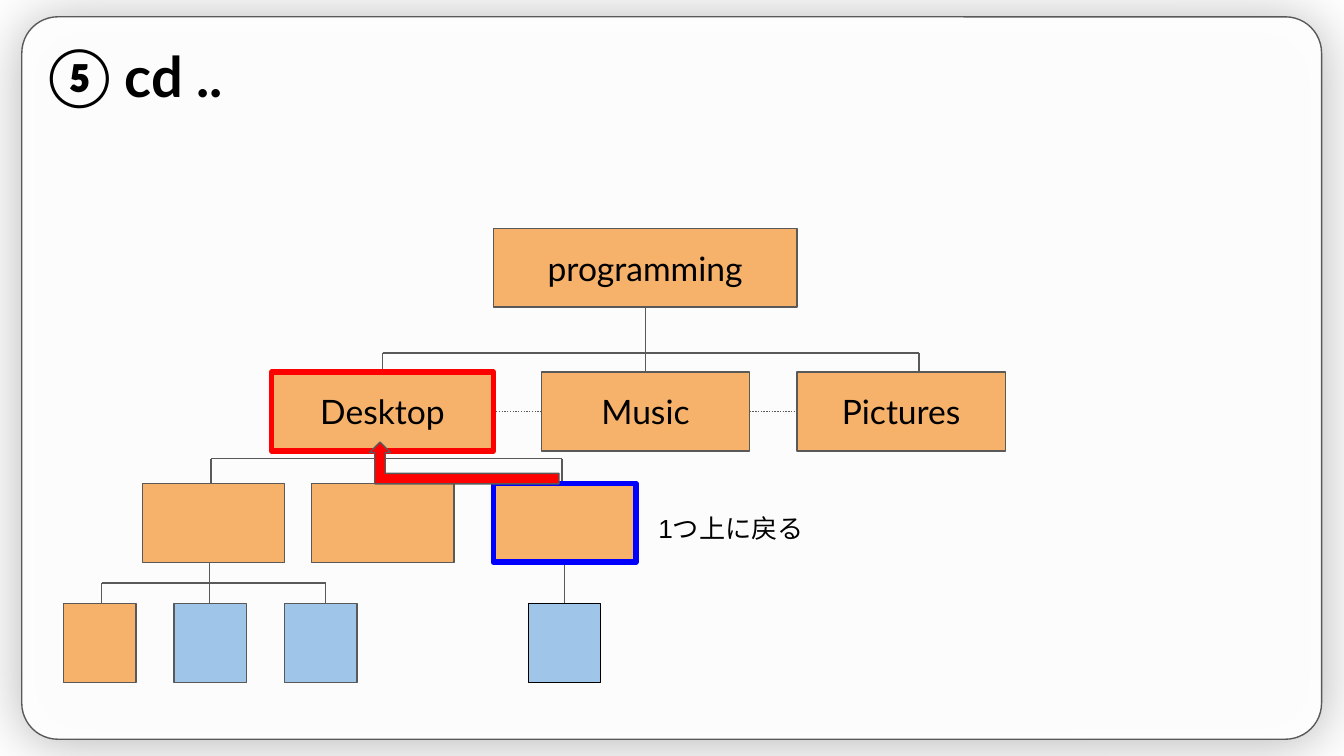
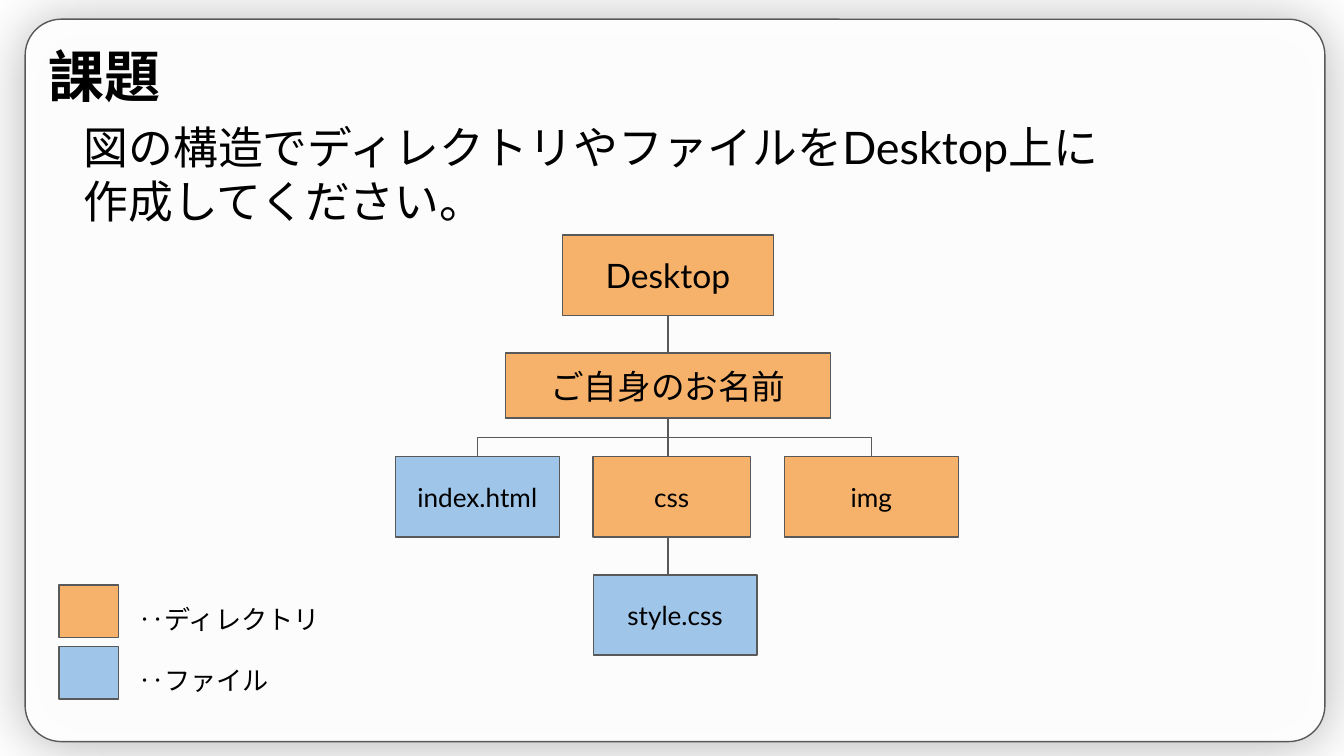
from pptx import Presentation
from pptx import util as u
from pptx import oxml
from pptx.dml.color import RGBColor
from pptx.enum import dml, shapes, text
from pptx.oxml import ns

Pt = u.Pt
ORANGE = RGBColor(0xF6, 0xB2, 0x6B)
BLUE = RGBColor(0x9F, 0xC5, 0xE8)
GREY = RGBColor(0x59, 0x59, 0x59)
RED = RGBColor(0xFF, 0, 0)
DEEP_BLUE = RGBColor(0, 0, 0xFF)
BLACK = RGBColor(0, 0, 0)
WHITE = RGBColor(0xFF, 0xFF, 0xFF)
THIN, THICK, INSET = 0.75, 3, 7.2
SHADOW = (
    f'<a:effectLst {ns.nsdecls("a")}>'
    '<a:outerShdw blurRad="400050" dist="19050" dir="5400000" algn="bl" rotWithShape="0">'
    '<a:srgbClr val="000000"><a:alpha val="30000"/></a:srgbClr>'
    '</a:outerShdw></a:effectLst>'
)


def write(box, lines, size, face="Lato", bold=False, align=text.PP_ALIGN.LEFT,
          anchor=text.MSO_ANCHOR.TOP):
    frame = box.text_frame
    frame.word_wrap = True
    frame.auto_size = text.MSO_AUTO_SIZE.NONE
    frame.vertical_anchor = anchor
    frame.margin_left = frame.margin_right = Pt(INSET)
    frame.margin_top = frame.margin_bottom = Pt(INSET)
    for index, words in enumerate(lines):
        para = frame.add_paragraph() if index else frame.paragraphs[0]
        para.alignment = align
        para.space_before = Pt(0)
        span = para.add_run()
        span.text = words
        span.font.size = Pt(size)
        span.font.name = face
        span.font.bold = bold
        span.font.color.rgb = BLACK
        latin = span.font._element.find(ns.qn("a:latin"))
        latin.addnext(oxml.parse_xml(f'<a:ea {ns.nsdecls("a")} typeface="{face}"/>'))


def draw_line(page, x1, y1, x2, y2, dash=None):
    line = page.shapes.add_connector(
        shapes.MSO_CONNECTOR.STRAIGHT, Pt(x1), Pt(y1), Pt(x2), Pt(y2))
    line.line.color.rgb = GREY
    line.line.width = Pt(THIN)
    if dash:
        line.line.dash_style = dash
    line._element.spPr.append(oxml.parse_xml(f'<a:effectLst {ns.nsdecls("a")}/>'))


deck = Presentation()
deck.slide_width = Pt(720)
deck.slide_height = Pt(405)
cd_page = deck.slides.add_slide(deck.slide_layouts[5])
task_page = deck.slides.add_slide(deck.slide_layouts[1])

for page, heading, left, top in [(cd_page, "⑤ cd ..", 11.7, 9), (task_page, "課題", 13.5, 10.3)]:
    panel = page.shapes.add_shape(
        shapes.MSO_SHAPE.ROUNDED_RECTANGLE, Pt(left), Pt(top), Pt(696.3), Pt(387))
    panel.adjustments[0] = 0.05
    panel.fill.solid()
    panel.fill.fore_color.rgb = WHITE
    color = panel._element.spPr.find(ns.qn("a:solidFill"))[0]
    color.append(oxml.parse_xml(f'<a:alpha {ns.nsdecls("a")} val="96000"/>'))
    panel.line.color.rgb = GREY
    panel.line.width = Pt(THIN)
    panel._element.spPr.append(oxml.parse_xml(SHADOW))
    page.shapes._spTree.insert(2, panel._element)

    title = page.shapes.title
    title.left, title.top, title.width, title.height = Pt(18.7), Pt(15.1), Pt(220.3), Pt(52.6)
    write(title, [heading], 30, bold=True)

body = task_page.placeholders[1]
body.left, body.top, body.width, body.height = Pt(13.7), Pt(56.9), Pt(700.6), Pt(64)
write(body, ["図の構造でディレクトリやファイルをDesktop上に", "作成してください。"], 24)
for para in body.text_frame.paragraphs:
    props = para._p.get_or_add_pPr()
    props.set("marL", str(Pt(24)))
    props.set("indent", "0")
    props.append(oxml.parse_xml(f'<a:buNone {ns.nsdecls("a")}/>'))

brackets = [
    (cd_page, 345.7, 164.8, 189.1, 199.3, 205, 492.4),
    (cd_page, 203.8, 241.6, 245.8, 259, 113, 301),
    (cd_page, 112.3, 301.2, 312.4, 323.5, 54.5, 174.4),
    (task_page, 357.8, 224, 234.3, 244.8, 255.7, 467),
]
for page, trunk, top, bar, bottom, left, right in brackets:
    draw_line(page, trunk, top, trunk, bottom)
    draw_line(page, left, bar, right, bar)
    for end in (left, right):
        draw_line(page, end, bar, end, bottom)

for page, trunk, top, bottom in [
    (cd_page, 302.5, 301.2, 323.5),
    (task_page, 357.8, 168.7, 189.3),
    (task_page, 357.8, 287.6, 308.2),
]:
    draw_line(page, trunk, top, trunk, bottom)
for left, right in [(264.3, 290), (401.6, 427)]:
    draw_line(cd_page, left, 220.4, right, 220.4, dml.MSO_LINE.ROUND_DOT)

box_rows = [
    (cd_page, 122.3, 42.3, 18, [(264.3, 162.7, ORANGE, "programming")]),
    (cd_page, 199.3, 42.3, 18, [(290, 111.6, ORANGE, "Music"),
                               (145.5, 118.8, ORANGE, "Desktop", RED, THICK),
                               (427, 111.6, ORANGE, "Pictures")]),
    (cd_page, 259, 42.3, 18, [(76.3, 76.3, ORANGE, ""),
                              (167, 76.3, ORANGE, ""),
                              (264.3, 76.3, ORANGE, "", DEEP_BLUE, THICK)]),
    (cd_page, 323.5, 42.3, 18, [(34, 38.9, ORANGE, ""),
                                (93.2, 38.9, BLUE, ""),
                                (152.5, 38.9, BLUE, ""),
                                (283, 38.9, BLUE, "", BLACK, THIN)]),
    (task_page, 125.9, 43, 18, [(301.2, 113.2, ORANGE, "Desktop")]),
    (task_page, 189.2, 34.8, 18, [(270.7, 174.2, ORANGE, "ご自身のお名前")]),
    (task_page, 244.7, 43, 14, [(211.8, 87.8, BLUE, "index.html"),
                                (317.8, 84.2, ORANGE, "css"),
                                (420.2, 93.2, ORANGE, "img")]),
    (task_page, 308, 43, 14, [(317.8, 87.8, BLUE, "style.css")]),
    (task_page, 313.3, 28.2, 14, [(31.7, 31.7, ORANGE, "")]),
    (task_page, 346.3, 28.2, 14, [(31.7, 31.7, BLUE, "")]),
]
for page, top, height, size, row in box_rows:
    for left, width, fill, label, *edge in row:
        edge_color, edge_width = edge or (GREY, THIN)
        box = page.shapes.add_shape(
            shapes.MSO_SHAPE.RECTANGLE, Pt(left), Pt(top), Pt(width), Pt(height))
        box.shadow.inherit = False
        box.fill.solid()
        box.fill.fore_color.rgb = fill
        box.line.color.rgb = edge_color
        box.line.width = Pt(edge_width)
        if label:
            write(box, [label], size, align=text.PP_ALIGN.CENTER,
                  anchor=text.MSO_ANCHOR.MIDDLE)

arrow = cd_page.shapes.add_shape(
    shapes.MSO_SHAPE.BENT_UP_ARROW, Pt(198), Pt(236.9), Pt(101.5), Pt(22.3))
arrow._element.spPr.xfrm.set("flipH", "1")
arrow.shadow.inherit = False
arrow.fill.solid()
arrow.fill.fore_color.rgb = RED
arrow.line.color.rgb = GREY
arrow.line.width = Pt(THIN)

for page, left, top, width, height, words, face in [
    (cd_page, 345.6, 267.1, 97.9, 26.6, "1つ上に戻る", "Arial"),
    (task_page, 67, 316.1, 136.8, 24.5, "‥ディレクトリ", "Lato"),
    (task_page, 67, 348.5, 136.8, 24.5, "‥ファイル", "Lato"),
]:
    caption = page.shapes.add_textbox(Pt(left), Pt(top), Pt(width), Pt(height))
    write(caption, [words], 14, face)

deck.save("out.pptx")
